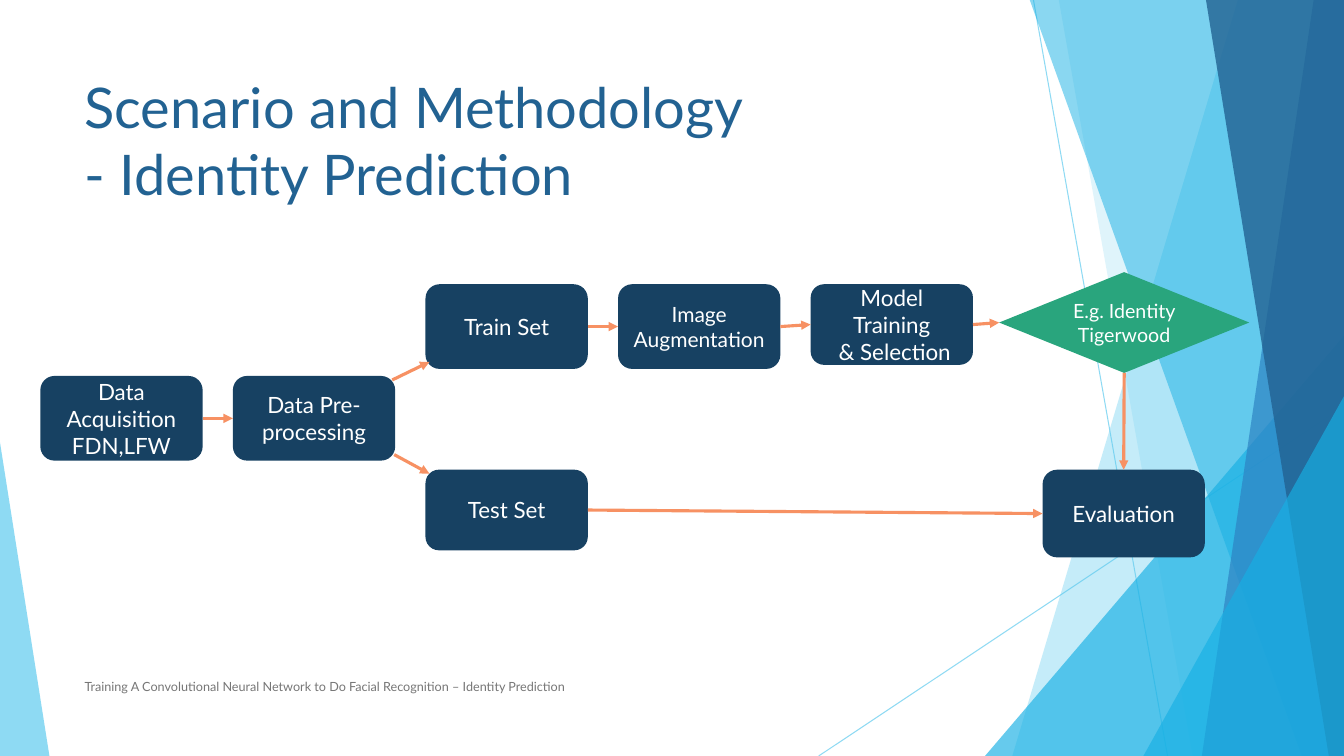
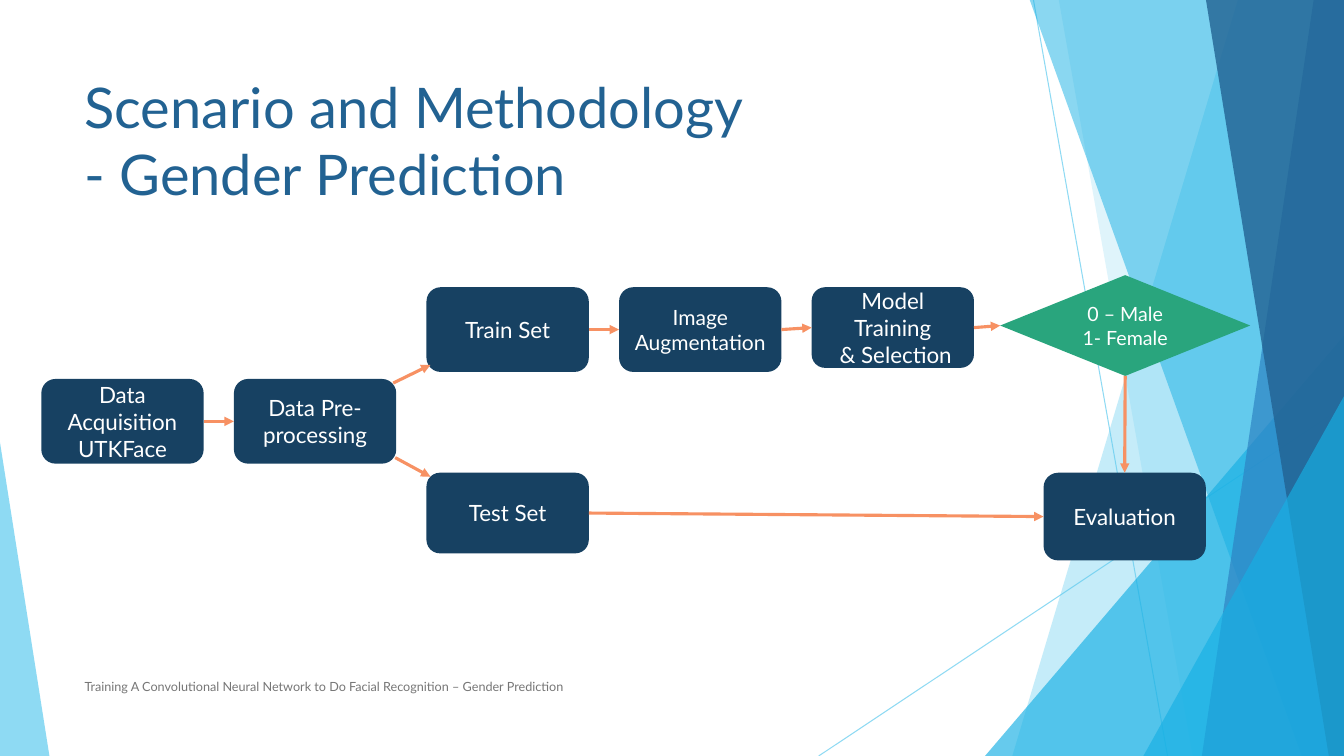
from lxml import etree
from pptx import Presentation
from pptx import util as u
from pptx.dml.color import RGBColor
from pptx.enum import shapes as sh, text as tx
from pptx.oxml.ns import qn

PX = 9144
WIDE, HIGH = 1333, 750
FONT = "Lato"
COLORS = {
    "sky": "5FCBEF", "aqua": "17B0E4", "blue": "2E83C3", "deep": "226292",
    "navy": "174162", "green": "29A57D", "coral": "F79163",
    "gray": "767676", "white": "FFFFFF",
}

RAYS = [((1025, 0), (1158, HIGH)), ((WIDE, 403), (812, HIGH))]
BANDS = [
    ("band", (1228, 1004), "sky", 36),
    ("band", (1050, 1183), "sky", 20),
    ("wedge", (977, 333, 356, 417, 1), "aqua", 66),
    ("band", (1021, 1291), "aqua", 50),
    ("band", (1303, 1192), "blue", 70),
    ("band", (1196, 1318), "deep", 80),
    ("wedge", (1134, 393, 199, 357, 1), "aqua", 66),
    ("wedge", (0, 439, 49, 311, 0), "sky", 70),
]

TITLE = "Scenario and Methodology\v- {} Prediction"
FOOTER = "Training A Convolutional Neural Network to Do Facial Recognition – {} Prediction"
SLIDES = [
    {"topic": "Identity", "shift": (0, 0), "data": "FDN,LFW",
     "result": "E.g. Identity Tigerwood"},
    {"topic": "Gender", "shift": (1, 3), "data": "UTKFace",
     "result": "0 – Male\n1- Female"},
]

LEFT, STEP, BOX = 40, 191, 161
TOP, MID, LOW = 282, 373, 466
STEPS = [
    ("data", 0, MID, 84, 16, "Data Acquisition\n{data}"),
    ("prep", 1, MID, 84, 16, "Data Pre-processing"),
    ("train", 2, TOP, 84, 16, "Train Set"),
    ("test", 2, LOW, 80, 16, "Test Set"),
    ("image", 3, TOP, 84, 15, "Image Augmentation"),
    ("model", 4, TOP, 80, 16, "Model Training\n & Selection"),
]
EVAL = (1034, LOW, BOX, 87)
RESULT = (991, 270, 248, 100)
UP, WEST, DOWN, EAST = range(4)
LINKS = [
    ("data", EAST, "prep", WEST),
    ("train", EAST, "image", WEST),
    ("image", EAST, "model", WEST),
    ("model", EAST, "result", WEST),
    ("result", DOWN, "eval", UP),
    ("test", EAST, "eval", WEST),
]
FORKS = [((389, 377), (426, 359)), ((391, 451), (426, 470))]


def rgb(name):
    return RGBColor.from_string(COLORS[name])


def px(*nums):
    return [u.Emu(n * PX) for n in nums]


def fade(shape, alpha):
    color = next(shape.element.spPr.iter(qn("a:srgbClr")))
    etree.SubElement(color, qn("a:alpha"), val=str(alpha * 1000))


def paint(shape, color):
    shape.shadow.inherit = False
    shape.fill.solid()
    shape.fill.fore_color.rgb = rgb(color)
    shape.line.fill.background()


def write(shape, words, size, color, align, anchor):
    frame = shape.text_frame
    frame.word_wrap = True
    frame.vertical_anchor = anchor
    frame.text = words
    style = {"name": FONT, "size": u.Pt(size)}
    for para in frame.paragraphs:
        para.alignment = align
        for run in para.runs:
            for key, value in style.items():
                setattr(run.font, key, value)
            run.font.color.rgb = rgb(color)


def label(slide, area, words, size, color, anchor):
    box = slide.shapes.add_textbox(*px(*area))
    write(box, words, size, color, tx.PP_ALIGN.LEFT, anchor)


def node(slide, kind, area, words, size, color):
    shape = slide.shapes.add_shape(kind, *px(*area))
    paint(shape, color)
    write(shape, words, size, "white", tx.PP_ALIGN.CENTER, tx.MSO_ANCHOR.MIDDLE)
    return shape


def rule(slide, start, end, color, width):
    line = slide.shapes.add_connector(sh.MSO_CONNECTOR.STRAIGHT, *px(*start, *end))
    line.line.color.rgb = rgb(color)
    line.line.width = u.Pt(width)
    etree.SubElement(line.element.spPr, qn("a:effectLst"))
    return line


def arrow(slide, start=(0, 0), end=(0, 0)):
    line = rule(slide, start, end, "coral", 2.25)
    etree.SubElement(line.line._get_or_add_ln(), qn("a:tailEnd"), type="triangle")
    return line


def backdrop(slide):
    for start, end in RAYS:
        fade(rule(slide, start, end, "sky", 0.75), 70)
    for kind, place, color, alpha in BANDS:
        if kind == "band":
            top, base = place
            path = slide.shapes.build_freeform(top, -1, scale=PX)
            path.add_line_segments([(WIDE, -1), (WIDE, HIGH), (base, HIGH)])
            shape = path.convert_to_shape()
        else:
            *area, peak = place
            shape = slide.shapes.add_shape(sh.MSO_SHAPE.ISOSCELES_TRIANGLE, *px(*area))
            shape.adjustments[0] = peak
        paint(shape, color)
        fade(shape, alpha)


def flow(slide, item):
    dx, dy = item["shift"]

    def move(x, y, *size):
        return (x + dx, y + dy, *size)

    round_box = sh.MSO_SHAPE.ROUNDED_RECTANGLE
    nodes = {}
    for key, col, y, high, size, words in STEPS:
        area = move(LEFT + col * STEP, y, BOX, high)
        nodes[key] = node(slide, round_box, area, words.format(**item), size, "navy")
    nodes["eval"] = node(slide, round_box, move(*EVAL), "Evaluation", 16, "navy")
    nodes["result"] = node(slide, sh.MSO_SHAPE.DIAMOND, move(*RESULT),
                           item["result"], 14, "green")
    for first, out, last, into in LINKS:
        line = arrow(slide)
        line.begin_connect(nodes[first], out)
        line.end_connect(nodes[last], into)
    for start, end in FORKS:
        arrow(slide, move(*start), move(*end))


def main():
    deck = Presentation()
    deck.slide_width, deck.slide_height = px(WIDE, HIGH)
    for item in SLIDES:
        slide = deck.slides.add_slide(deck.slide_layouts[6])
        backdrop(slide)
        label(slide, (74, 67, 940, 144), TITLE.format(item["topic"]),
              40, "deep", tx.MSO_ANCHOR.TOP)
        label(slide, (74, 661, 689, 40), FOOTER.format(item["topic"]),
              9, "gray", tx.MSO_ANCHOR.MIDDLE)
        flow(slide, item)
    deck.save("out.pptx")


if __name__ == "__main__":
    main()
